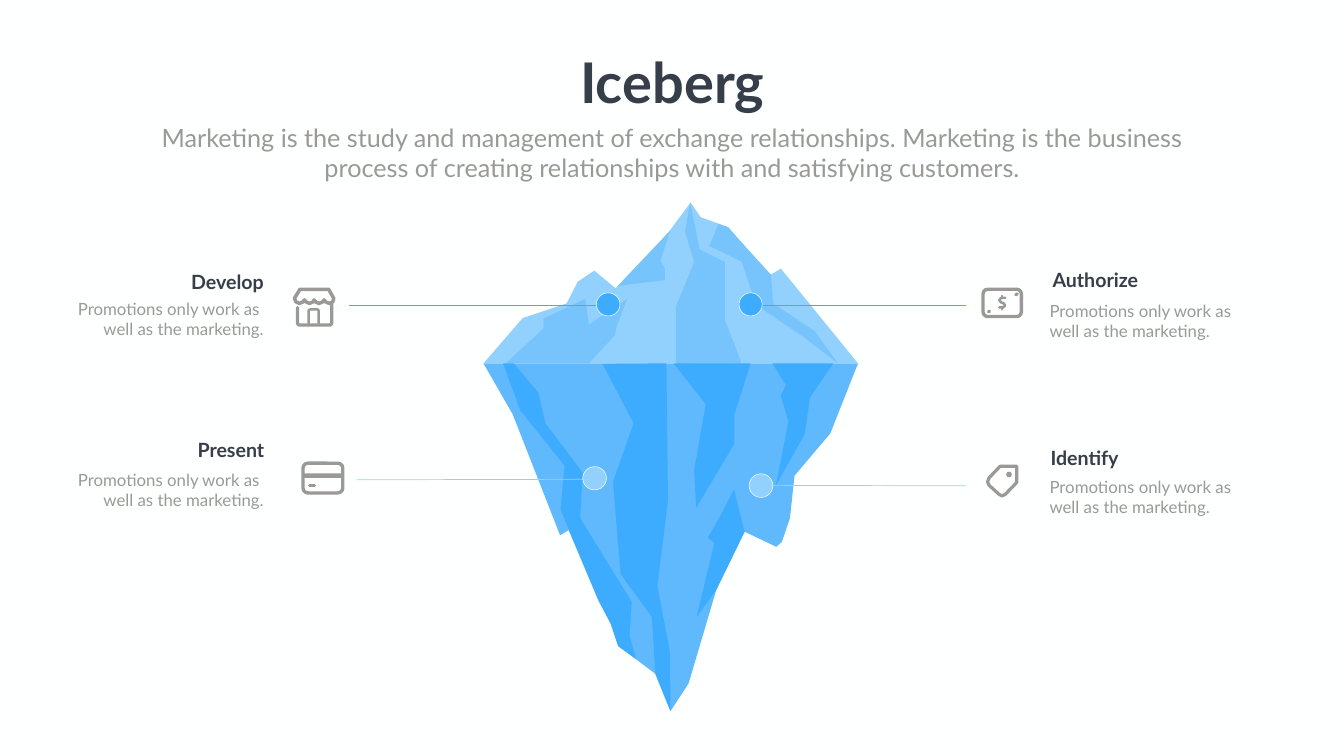
from lxml.etree import SubElement
from pptx import Presentation
from pptx.dml.color import RGBColor
from pptx.enum.shapes import MSO_CONNECTOR, MSO_SHAPE
from pptx.enum.text import MSO_AUTO_SIZE, PP_ALIGN
from pptx.oxml.ns import qn
from pptx.util import Cm, Pt

COLORS = {
    "background": "FEFFFF", "body": "5FB9FC", "deep": "3DACFF", "tip": "92D1FE",
    "shade": "77C4FD", "heading": "363E49", "muted": "9A9998",
}
RGB = {name: RGBColor.from_string(value) for name, value in COLORS.items()}
UNIT = Cm(0.0254)  # every coordinate below counts in this unit

presentation = Presentation()
presentation.slide_width = 2666 * UNIT
presentation.slide_height = 1500 * UNIT
slide = presentation.slides.add_slide(presentation.slide_layouts[6])
slide.background.fill.solid()
slide.background.fill.fore_color.rgb = RGB["background"]


def style(shape, fill=None, line=None, width=0.75):
    shape.shadow.inherit = False
    if fill:
        shape.fill.solid()
        shape.fill.fore_color.rgb = RGB[fill]
    else:
        shape.fill.background()
    if line:
        shape.line.color.rgb = RGB[line]
        shape.line.width = Pt(width)
        shape._element.spPr.find(qn("a:ln")).set("cap", "rnd")
    else:
        shape.line.fill.background()


def add_text(box, lines, size, color, align, bold=False, wrap=True):
    left, top, width, height = (value * UNIT for value in box)
    text_frame = slide.shapes.add_textbox(left, top, width, height).text_frame
    text_frame.word_wrap = wrap
    text_frame.auto_size = MSO_AUTO_SIZE.SHAPE_TO_FIT_TEXT
    text_frame.text = "\n".join(lines)
    for paragraph in text_frame.paragraphs:
        paragraph.alignment = align
        for run in paragraph.runs:
            run.font.name = "Lato"
            run.font.size = Pt(size)
            run.font.bold = bold
            run.font.color.rgb = RGB[color]


# Iceberg facets, back to front
facets = [
    ("body", [(959, 721), (1017, 822), (1111, 1062), (1128, 1052), (1187, 1191),
              (1212, 1237), (1227, 1282), (1300, 1337), (1330, 1411), (1366, 1356),
              (1421, 1170), (1477, 1055), (1540, 1085), (1551, 1075), (1567, 1028),
              (1576, 944), (1647, 860), (1702, 721)]),
    ("tip", [(959, 721), (1037, 631), (1124, 602), (1146, 559), (1179, 537),
             (1221, 572), (1323, 465), (1370, 402), (1390, 431), (1445, 451),
             (1478, 490), (1529, 545), (1549, 533), (1702, 721)]),
    ("shade", [(1003, 721), (1078, 652), (1078, 632), (1161, 593), (1168, 644),
               (1244, 593), (1223, 648), (1219, 666), (1168, 721)]),
    ("shade", [(1341, 722), (1341, 609), (1377, 520), (1359, 460), (1369, 402),
               (1388, 495), (1438, 520), (1438, 634), (1471, 721)]),
    ("shade", [(1662, 721), (1616, 657), (1534, 602), (1529, 545), (1444, 451),
               (1425, 444), (1407, 488), (1471, 519), (1500, 605), (1597, 671)]),
    ("shade", [(1329, 458), (1310, 518), (1319, 533), (1319, 556), (1244, 565),
               (1225, 568)]),
    ("deep", [(998, 721), (1032, 814), (1120, 924), (1112, 1011), (1167, 1143),
              (1187, 1191), (1211, 1237), (1226, 1282), (1262, 1308), (1249, 1262),
              (1253, 1194), (1151, 1028), (1156, 938), (1082, 840), (1068, 779),
              (1019, 721)]),
    ("deep", [(1322, 721), (1325, 993), (1304, 1163), (1329, 1294), (1330, 1411),
              (1300, 1337), (1293, 1224), (1231, 1139), (1216, 956), (1257, 840),
              (1195, 722)]),
    ("deep", [(1489, 721), (1457, 822), (1457, 880), (1381, 1008), (1377, 933),
              (1400, 802), (1336, 721)]),
    ("deep", [(1653, 721), (1607, 788), (1596, 862), (1539, 963), (1564, 837),
              (1549, 785), (1559, 764), (1532, 721)]),
    ("deep", [(1421, 1170), (1477, 1055), (1456, 971), (1427, 1027), (1404, 1067),
              (1417, 1077), (1382, 1224)]),
]
for color, points in facets:
    builder = slide.shapes.build_freeform(*points[0], scale=UNIT)
    builder.add_line_segments(points[1:], close=True)
    style(builder.convert_to_shape(), fill=color)

# Leader lines
leaders = [
    ("deep", 1482, 605, 1916, 605), ("tip", 1520, 963, 1916, 964),
    ("tip", 1170, 951, 708, 952), ("deep", 1208, 605, 693, 605),
]
for color, *ends in leaders:
    connector = slide.shapes.add_connector(
        MSO_CONNECTOR.STRAIGHT, *(value * UNIT for value in ends))
    connector.line.color.rgb = RGB[color]
    connector.line.width = Pt(1.02)
    SubElement(connector._element.spPr, qn("a:effectLst"))

# Icon strokes: width, closed, points
awning = [(584, 592), (595, 574), (652, 574), (662, 592)]
for center in (653, 633, 614, 594):
    awning += [(center + 7, 599), (center, 602), (center - 7, 599)]
    if center > 594:
        awning.append((center - 10, 595))
strokes = [
    # Price tag
    (4.6, True, [(1984, 925), (2017, 925), (2017, 957), (1994, 981), (1988, 984),
                 (1982, 981), (1962, 963), (1959, 956), (1962, 948)]),
    # Banknote: dollar sign, its two ticks and the corner marks
    (3.6, False, [(1994, 591), (1986, 591), (1982, 596), (1987, 601), (1990, 601),
                  (1994, 606), (1990, 610), (1982, 610)]),
    (3.6, False, [(1988, 587), (1988, 590)]),
    (3.6, False, [(1988, 611), (1988, 614)]),
    (4.6, False, [(2015, 585), (2018, 583)]),
    (4.6, False, [(1961, 619), (1963, 617)]),
    # Shop: walls, door, awning
    (4.6, False, [(590, 610), (590, 642), (593, 645), (655, 645), (658, 642),
                  (658, 604)]),
    (3.6, False, [(612, 645), (612, 616), (615, 614), (630, 614), (632, 616),
                  (632, 645)]),
    (5, True, awning),
    # Bank card: printed dash
    (4.4, False, [(614, 964), (624, 964)]),
]
for width, closed, points in strokes:
    builder = slide.shapes.build_freeform(*points[0], scale=UNIT)
    builder.add_line_segments(points[1:], close=closed)
    style(builder.convert_to_shape(), line="muted", width=width)

# Icon frames of the banknote and the bank card
for frame in [(1950, 574, 76, 54), (601, 919, 79, 59)]:
    shape = slide.shapes.add_shape(
        MSO_SHAPE.ROUNDED_RECTANGLE, *(value * UNIT for value in frame))
    style(shape, line="muted", width=4.8)

# Card stripe, tag hole and the nodes on the iceberg
solids = [
    (MSO_SHAPE.RECTANGLE, "muted", None, (603, 939, 77, 9)),
    (MSO_SHAPE.OVAL, "muted", None, (1996, 936, 11, 11)),
    (MSO_SHAPE.OVAL, "deep", "background", (1466, 581, 46, 46)),
    (MSO_SHAPE.OVAL, "deep", "background", (1183, 581, 47, 46)),
    (MSO_SHAPE.OVAL, "tip", "background", (1156, 926, 47, 46)),
    (MSO_SHAPE.OVAL, "tip", "background", (1486, 940, 47, 47)),
]
for kind, color, line, box in solids:
    shape = slide.shapes.add_shape(kind, *(value * UNIT for value in box))
    style(shape, fill=color, line=line)

# Title and introduction
add_text((1136, 89, 395, 145), ["Iceberg"], 80, "heading", PP_ALIGN.CENTER,
         bold=True, wrap=False)
add_text((292, 237, 2082, 131),
         ["Marketing is the study and management of exchange relationships. "
          "Marketing is the business process of creating relationships with "
          "and satisfying customers."], 36, "muted", PP_ALIGN.CENTER)

# Labels: heading, its left and top, description left and top
labels = [
    ("Develop", 272, 530, 70, 588, PP_ALIGN.RIGHT),
    ("Present", 273, 864, 70, 927, PP_ALIGN.RIGHT),
    ("Authorize", 2078, 526, 2072, 592, PP_ALIGN.LEFT),
    ("Identify", 2074, 879, 2072, 940, PP_ALIGN.LEFT),
]
for heading, left, top, detail_left, detail_top, align in labels:
    first_line = "Promotions only work as"
    if align == PP_ALIGN.RIGHT:
        first_line += " "
    add_text((left, top, 261, 57), [heading], 28, "heading", align, bold=True)
    add_text((detail_left, detail_top, 463, 91),
             [first_line, "well as the marketing."], 24, "muted", align)

presentation.save("out.pptx")
